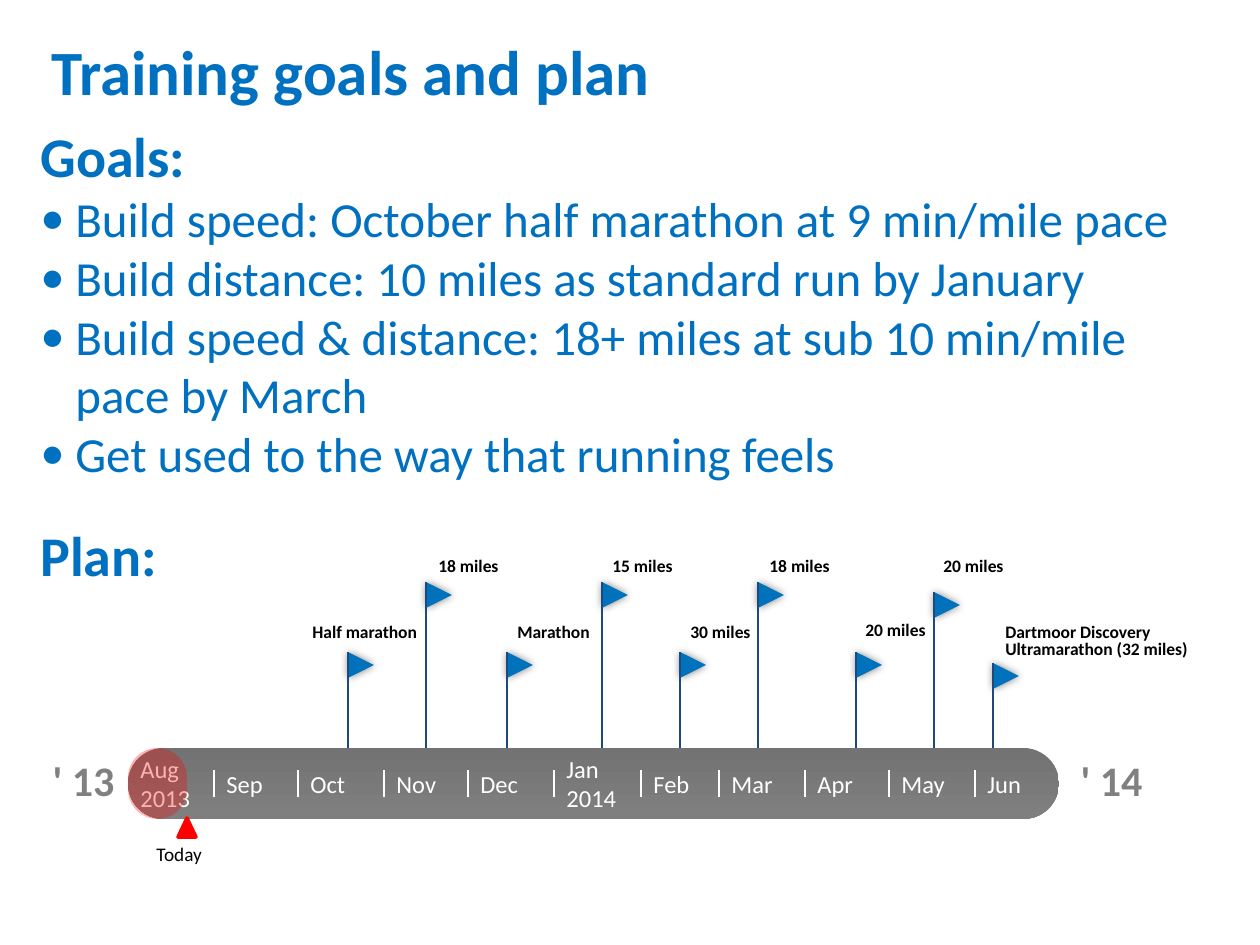
from itertools import accumulate

from lxml.etree import SubElement
from pptx import Presentation
from pptx.dml.color import RGBColor
from pptx.enum.shapes import MSO_CONNECTOR, MSO_SHAPE
from pptx.enum.text import MSO_ANCHOR, PP_ALIGN
from pptx.oxml.ns import qn
from pptx.util import Pt

PX = 914400 // 126
COLORS = {
    "heading": "0070C0", "flag": "0072BC", "pole": "1F497D",
    "bar_top": "737373", "bar_bottom": "7F7F7F", "year": "808080",
    "today": "FF0000", "white": "FFFFFF", "black": "000000",
}
MONTHS = [("Aug\v2013", 31), ("Sep", 30), ("Oct", 31), ("Nov", 30), ("Dec", 31),
          ("Jan\v2014", 31), ("Feb", 28), ("Mar", 31), ("Apr", 30), ("May", 31),
          ("Jun", 30)]
# event, flag x, flag top, label x, label top, label width
EVENTS = [
    ("Half marathon", 348, 652, 300, 619, 131),
    ("18 miles", 426, 582, 426, 553, 271),
    ("Marathon", 507, 652, 505, 619, 106),
    ("15 miles", 602, 582, 600, 553, 271),
    ("30 miles", 680, 652, 678, 619, 271),
    ("18 miles", 758, 582, 757, 553, 271),
    ("20 miles", 856, 652, 853, 617, 271),
    ("20 miles", 934, 592, 931, 553, 271),
    ("Dartmoor Discovery Ultramarathon (32 miles)", 993, 663, 993, 619, 229),
]
GOALS = [
    "Build speed: October half marathon at 9 min/mile pace",
    "Build distance: 10 miles as standard run by January",
    "Build speed & distance: 18+ miles at sub 10 min/mile\vpace by March",
    "Get used to the way that running feels",
]
BAR_X, BAR_Y, BAR_W, BAR_H = 128, 748, 931, 71
TODAY_DAY = 21


def rgb(name):
    return RGBColor.from_string(COLORS[name])


class Deck:
    font = "Calibri"

    def __init__(self, width, height):
        self.prs = Presentation()
        self.prs.slide_width, self.prs.slide_height = width * PX, height * PX
        self.s = self.prs.slides.add_slide(self.prs.slide_layouts[6])

    def format(self, p, text, size, color, bold=False, align=PP_ALIGN.LEFT,
               spacing=None, bullet=False):
        """Fill a paragraph; a vertical tab in the text is a line break."""
        p.text = text
        p.alignment = align
        p.line_spacing = spacing
        for r in p.runs:
            r.font.name, r.font.size, r.font.bold = self.font, Pt(size), bold
            r.font.color.rgb = rgb(color)
        if bullet:
            pPr = p._p.get_or_add_pPr()
            pPr.set("marL", str(35 * PX))
            pPr.set("indent", str(-35 * PX))
            SubElement(pPr, qn("a:buFont"), typeface=self.font)
            SubElement(pPr, qn("a:buChar"), char="•")

    def text(self, text, x, y, w, h, wrap=True, anchor=MSO_ANCHOR.TOP, **fmt):
        tf = self.s.shapes.add_textbox(x * PX, y * PX, w * PX, h * PX).text_frame
        tf.word_wrap, tf.vertical_anchor = wrap, anchor
        self.format(tf.paragraphs[0], text, **fmt)
        return tf

    def shape(self, kind, x, y, w, h, fill):
        sp = self.s.shapes.add_shape(kind, x * PX, y * PX, w * PX, h * PX)
        sp.shadow.inherit = False
        sp.fill.solid()
        sp.fill.fore_color.rgb = rgb(fill)
        sp.line.fill.background()
        return sp

    def pill(self, x, y, w, h, fill):
        sp = self.shape(MSO_SHAPE.ROUNDED_RECTANGLE, x, y, w, h, fill)
        sp.adjustments[0] = 0.5
        return sp

    def vertical(self, x, top, bottom, color, weight):
        line = self.s.shapes.add_connector(
            MSO_CONNECTOR.STRAIGHT, x * PX, top * PX, x * PX, bottom * PX)
        line.line.color.rgb = rgb(color)
        line.line.width = Pt(weight)
        SubElement(line._element.spPr, qn("a:effectLst"))

    def flag(self, x, top):
        """Pennant with a soft shadow on a pole that stands on the bar."""
        sp = self.shape(MSO_SHAPE.FLOWCHART_MERGE, x, top, 26, 26, "flag")
        sp.rotation = 270
        effects = sp._element.spPr.find(qn("a:effectLst"))
        shadow = SubElement(effects, qn("a:outerShdw"), blurRad=str(Pt(5)), dist="0")
        color = SubElement(shadow, qn("a:srgbClr"), val=COLORS["black"])
        SubElement(color, qn("a:alpha"), val="50000")
        self.vertical(x, top, BAR_Y, "pole", 1.25)


def add_timeline(deck):
    for _, x, top, *_ in EVENTS:
        deck.flag(x, top)

    bar = deck.pill(BAR_X, BAR_Y, BAR_W, BAR_H, "bar_top")
    bar.fill.gradient()
    bar.fill.gradient_angle = 270
    for stop, position, color in zip(bar.fill.gradient_stops, (0, 1),
                                     ("bar_top", "bar_bottom")):
        stop.position, stop.color.rgb = position, rgb(color)

    for year, x in (("' 13", 40), ("' 14", 1068)):
        deck.text(year, x, BAR_Y, 87, 63, size=24, color="year", bold=True,
                  align=PP_ALIGN.CENTER)

    starts = list(accumulate((days for _, days in MONTHS), initial=0))
    day = BAR_W / starts[-1]
    for (month, _), start in zip(MONTHS, starts):
        x = round(BAR_X + start * day)
        if start:
            deck.vertical(x, BAR_Y + 22, BAR_Y + 49, "white", 1)
        deck.text(month, x, BAR_Y, 85, BAR_H, wrap=False,
                  anchor=MSO_ANCHOR.MIDDLE, size=14, color="white")

    elapsed_w = round(TODAY_DAY * day)
    elapsed = deck.pill(BAR_X, BAR_Y, elapsed_w, BAR_H, "today")
    color = elapsed._element.spPr.find(qn("a:solidFill"))[0]
    SubElement(color, qn("a:alpha"), val="30000")
    today_x = BAR_X + elapsed_w
    marker = deck.shape(MSO_SHAPE.ISOSCELES_TRIANGLE, today_x - 9, 818, 18, 19, "today")
    marker.line.color.rgb = rgb("today")
    marker.line.width = Pt(2)
    deck.text("Today", today_x - 43, 836, 87, 36, wrap=False,
              anchor=MSO_ANCHOR.MIDDLE, size=11, color="black")

    for event, _, _, x, top, width in EVENTS:
        deck.text(event, x, top, width, 34, size=10, color="black", bold=True,
                  spacing=0.8)


def main():
    deck = Deck(1260, 945)
    add_timeline(deck)
    deck.text("Training goals and plan", 39, 26, 631, 89, wrap=False, size=36,
              color="heading", bold=True)
    deck.text("Plan:", 28, 514, 144, 81, wrap=False, size=32, color="heading",
              bold=True)
    tf = deck.text("Goals:", 28, 115, 1211, 378, size=32, color="heading", bold=True)
    for goal in GOALS:
        deck.format(tf.add_paragraph(), goal, size=28, color="heading", bullet=True)
    deck.prs.save("out.pptx")


if __name__ == "__main__":
    main()
